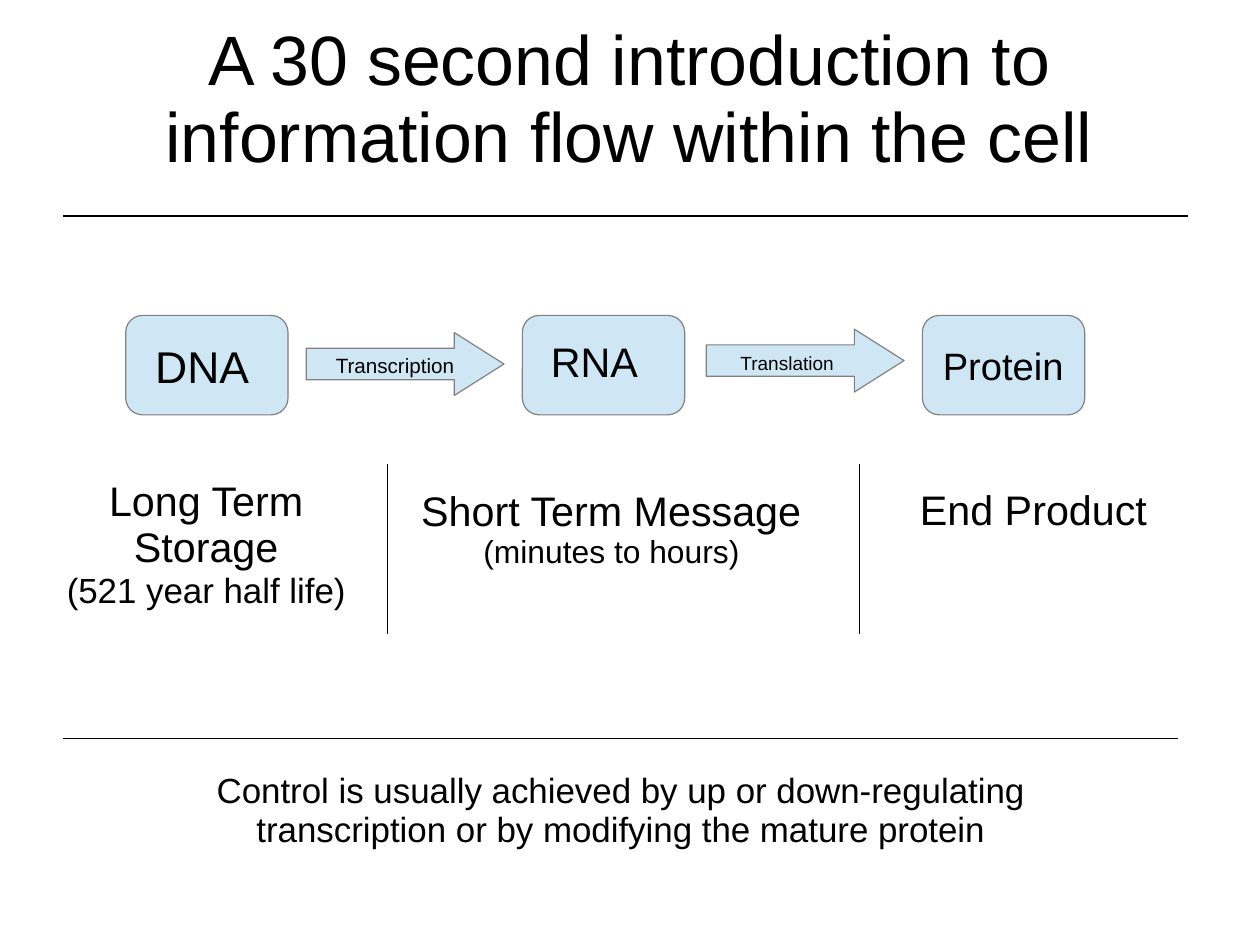
from pptx import Presentation
from pptx.dml.color import RGBColor
from pptx.enum.shapes import MSO_CONNECTOR, MSO_SHAPE
from pptx.enum.text import MSO_ANCHOR, PP_ALIGN
from pptx.oxml.ns import qn
from pptx.util import Cm, Inches, Pt
from lxml import etree

ROUND, ARROW = MSO_SHAPE.ROUNDED_RECTANGLE, MSO_SHAPE.RIGHT_ARROW
STRAIGHT = MSO_CONNECTOR.STRAIGHT
LEFT, CENTER = PP_ALIGN.LEFT, PP_ALIGN.CENTER
TOP, MIDDLE = MSO_ANCHOR.TOP, MSO_ANCHOR.MIDDLE

FONT, BLACK, GRAY, PALE_BLUE = "Arial", "000000", "808080", "CFE7F5"
LINE_SPACING = 0.93

TITLE = ("A 30 second introduction to information flow within the cell", 44)
TITLE_BOX = (0.55, 0.17, 9.92, 1.38)

MOLECULE_LEFTS = [1.1, 4.57, 8.07]
MOLECULE_TOP, MOLECULE_W, MOLECULE_H = 2.76, 1.42, 0.87
PROCESS_ARROWS = [(2.68, 2.91), (6.18, 2.88)]
PROCESS_W, PROCESS_H = 1.73, 0.55

LABELS = [
    ((1.26, 2.93, 1.02, 0.53), 0.08, LEFT, False, [("DNA", 28)]),
    ((4.72, 2.91, 1.18, 0.5), 0.07, LEFT, True, [("RNA", 26)]),
    ((8.15, 2.96, 1.28, 0.47), 0.07, LEFT, True, [("Protein", 24)]),
    ((2.84, 3.05, 1.24, 0.3), 0.06, LEFT, False, [("Transcription", 13)]),
    ((6.38, 3.03, 1.03, 0.29), 0.06, LEFT, False, [("Translation", 12)]),
    ((0.31, 4.13, 2.99, 1.25), 0.07, CENTER, True,
     [("Long Term Storage", 26), ("(521 year half life)", 22)]),
    ((3.54, 4.21, 3.62, 0.81), 0.07, CENTER, True,
     [("Short Term Message", 26), ("(minutes to hours)", 20)]),
    ((7.95, 4.21, 2.19, 0.5), 0.07, LEFT, False, [("End Product", 26)]),
    ((0.94, 6.69, 8.98, 0.78), 0.07, CENTER, True,
     [("Control is usually achieved by up or down-regulating "
       "transcription or by modifying the mature protein", 22)]),
]

COLUMN_DIVIDERS = [(x, 4.06, x, 5.55) for x in (3.39, 7.52)]
SECTION_RULES = [(0.55, y, right, y) for y, right in ((1.89, 10.39), (6.46, 10.31))]


def color(target, value):
    target.rgb = RGBColor.from_string(value)


def add_block(s, kind, box, adjustments):
    sp = s.shapes.add_shape(kind, *map(Inches, box))
    for i, value in enumerate(adjustments):
        sp.adjustments[i] = value
    sp.shadow.inherit = False
    sp.fill.solid()
    color(sp.fill.fore_color, PALE_BLUE)
    color(sp.line.color, GRAY)
    sp.line.width = Pt(0.75)


def add_text(s, box, insets, align, wrap, lines, anchor=TOP):
    tf = s.shapes.add_textbox(*map(Inches, box)).text_frame
    tf.word_wrap = wrap
    tf.vertical_anchor = anchor
    tf.margin_left, tf.margin_top, tf.margin_right, tf.margin_bottom = map(Inches, insets)
    for i, (text, size) in enumerate(lines):
        p = tf.add_paragraph() if i else tf.paragraphs[0]
        p.alignment = align
        p.line_spacing = LINE_SPACING
        r = p.add_run()
        r.text = text
        r.font.name = FONT
        r.font.size = Pt(size)
        color(r.font.color, BLACK)


def add_line(s, ends):
    line = s.shapes.add_connector(STRAIGHT, *map(Inches, ends))
    color(line.line.color, BLACK)
    line.line.width = Pt(0.75)
    etree.SubElement(line._element.spPr, qn("a:effectLst"))


def main():
    prs = Presentation()
    prs.slide_width, prs.slide_height = Cm(28), Cm(21)
    s = prs.slides.add_slide(prs.slide_layouts[6])

    add_text(s, TITLE_BOX, (0, 0.04, 0, 0), CENTER, True, [TITLE], MIDDLE)
    for left in MOLECULE_LEFTS:
        add_block(s, ROUND, (left, MOLECULE_TOP, MOLECULE_W, MOLECULE_H), [0.17])
    for left, top in PROCESS_ARROWS:
        add_block(s, ARROW, (left, top, PROCESS_W, PROCESS_H), [0.5, 0.79])
    for box, inset_top, align, wrap, lines in LABELS:
        add_text(s, box, (0.1, inset_top, 0.1, 0.05), align, wrap, lines)
    for ends in COLUMN_DIVIDERS + SECTION_RULES:
        add_line(s, ends)

    prs.save("out.pptx")


if __name__ == "__main__":
    main()
